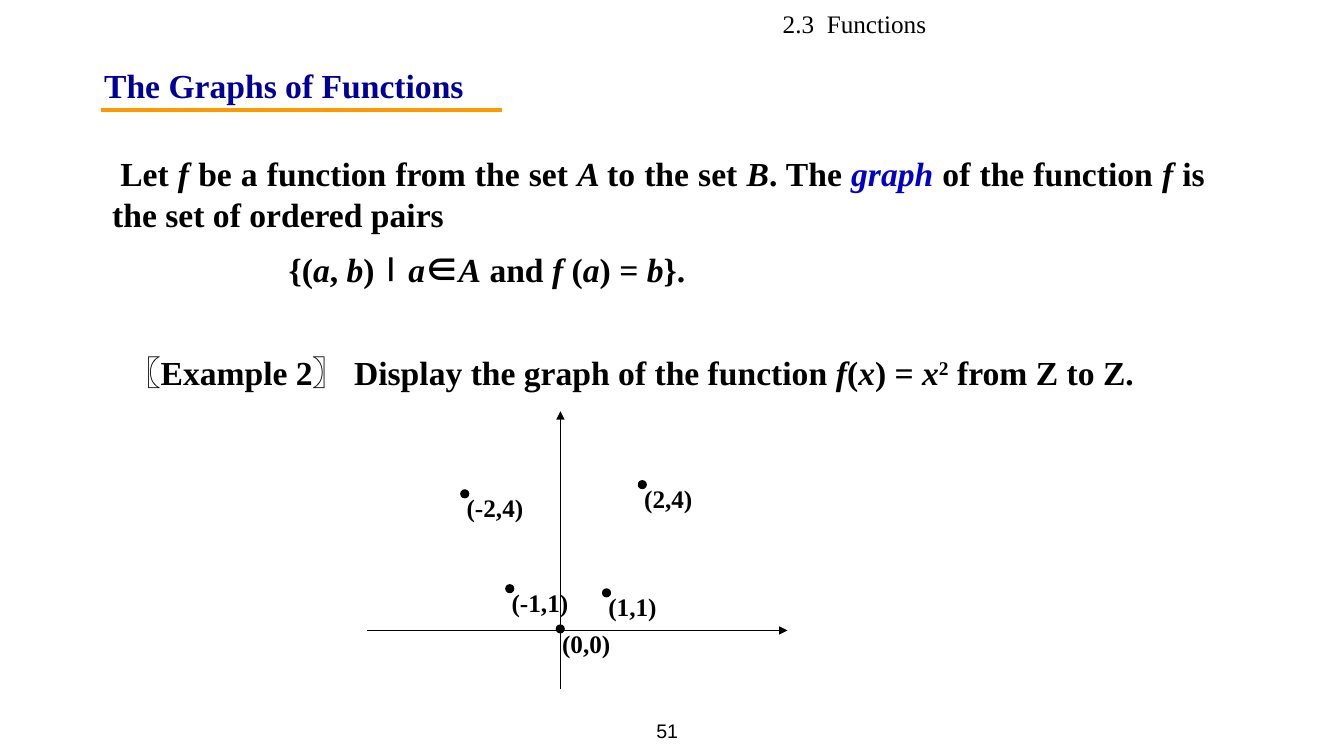
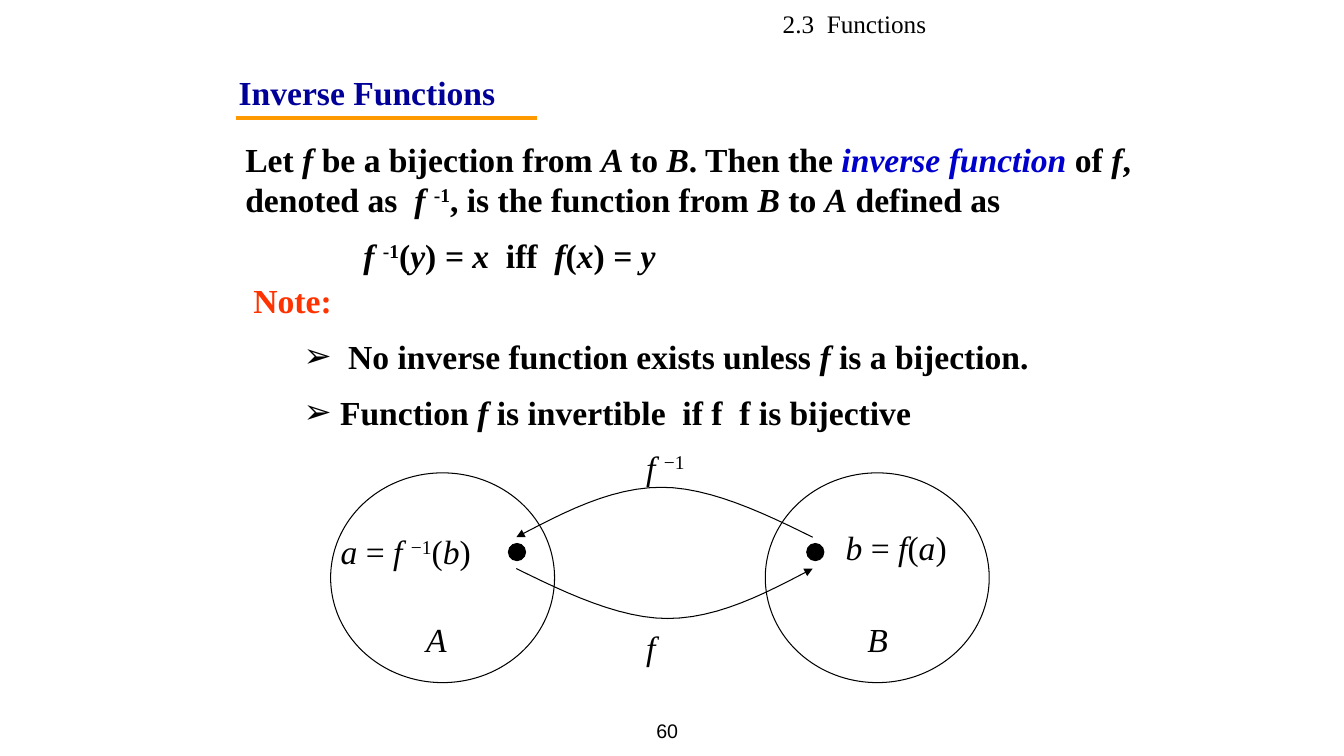
import itertools
from dataclasses import dataclass

import pptx
import pptx.dml.color
import pptx.enum.shapes
import pptx.enum.text
import pptx.oxml
import pptx.oxml.ns
import pptx.util
from lxml import etree

Inches, Pt = pptx.util.Inches, pptx.util.Pt
ALIGN = pptx.enum.text.PP_ALIGN
ANCHOR = pptx.enum.text.MSO_ANCHOR
qn = pptx.oxml.ns.qn

COLORS = {"title": "000099", "rule": "FF9900", "text": "000000",
          "term": "0000CC", "note": "FF3300"}
SERIF, SANS, CJK = "Times New Roman", "Arial", "Noto Sans CJK SC"
CJK_SIGNS = "∣∈〖〗"
ITALIC, SUPER, TERM = "*", "^", "#"
GAP = Pt(11)


@dataclass
class Box:
    x: int
    y: int
    w: int
    h: int

    def at(self, x, y):
        """Point at the given percentages of the box."""
        return int(self.x + self.w * x / 100), int(self.y + self.h * y / 100)

    def inner(self, x, y, w, h):
        """Box inside this one, in percent of its size."""
        return Box(*self.at(x, y), int(self.w * w / 100), int(self.h * h / 100))

    def bounds(self):
        return self.x, self.y, self.w, self.h


PAGE = Box(0, 0, Inches(13.33), Inches(7.5))


def rgb(name):
    return pptx.dml.color.RGBColor.from_string(COLORS[name])


def styled_chars(markup):
    """Yield each character with the set of marks that apply to it."""
    marks = frozenset()
    for ch in markup:
        if ch in (ITALIC, SUPER, TERM):
            marks ^= {ch}
        else:
            yield ch, marks | ({CJK} if ch in CJK_SIGNS else set())


def write(p, markup, size=24, color="text", bold=False, font=SERIF):
    """Fill a paragraph: *italic*, ^superscript^, #defined term#."""
    for marks, chars in itertools.groupby(styled_chars(markup), lambda c: c[1]):
        r = p.add_run()
        r.text = "".join(ch for ch, _ in chars)
        r.font.size = Pt(size)
        r.font.bold = bold
        r.font.italic = ITALIC in marks
        r.font.color.rgb = rgb("term" if TERM in marks else color)
        r.font.name = CJK if CJK in marks else font
        rpr = r._r.get_or_add_rPr()
        if SUPER in marks:
            rpr.set("baseline", "30000")
        if CJK in marks:
            etree.SubElement(rpr, qn("a:ea")).set("typeface", CJK)


def place(shape, box):
    shape.left, shape.top, shape.width, shape.height = box.bounds()
    tf = shape.text_frame
    tf.word_wrap = True
    tf.auto_size = pptx.enum.text.MSO_AUTO_SIZE.NONE
    tf.vertical_anchor = ANCHOR.TOP
    return tf


def label(s, box, markup, align=ALIGN.LEFT, **style):
    tf = place(s.shapes.add_textbox(*box.bounds()), box)
    tf.paragraphs[0].alignment = align
    write(tf.paragraphs[0], markup, **style)
    return tf


def outline(shape, filled=False):
    shape.shadow.inherit = False
    if filled:
        shape.fill.solid()
        shape.fill.fore_color.rgb = rgb("text")
    else:
        shape.fill.background()
    shape.line.color.rgb = rgb("text")
    shape.line.width = Pt(0.75)


def ellipse(s, box, filled=False):
    kind = pptx.enum.shapes.MSO_SHAPE.OVAL
    outline(s.shapes.add_shape(kind, *box.bounds()), filled)


def dot(s, point, size):
    ellipse(s, Box(*point, Inches(size), Inches(size)), filled=True)


def arrowhead(shape):
    ln = shape.line._get_or_add_ln()
    etree.SubElement(ln, qn("a:tailEnd")).set("type", "triangle")


def line(s, start, end, color="text", width=0.75):
    c = s.shapes.add_connector(pptx.enum.shapes.MSO_CONNECTOR.STRAIGHT,
                               *start, *end)
    c.line.color.rgb = rgb(color)
    c.line.width = Pt(width)
    etree.SubElement(c._element.spPr, qn("a:effectLst"))
    return c


def title(s, box, text, rule):
    """Title with an underline whose length is a percentage of the page."""
    tf = place(s.shapes.title, box)
    tf.paragraphs[0].alignment = ALIGN.LEFT
    write(tf.paragraphs[0], text, color="title", bold=True)
    x, y = box.x + Inches(0.07), box.y + box.h
    line(s, (x, y), (x + int(PAGE.w * rule / 100), y), "rule", 3)


def body(placeholder, box, paragraphs, align=ALIGN.JUSTIFY):
    """Paragraphs are (markup, left, first-line indent, bullet, colour)."""
    tf = place(placeholder, box)
    for i, (markup, left, first, bullet, color) in enumerate(paragraphs):
        p = tf.add_paragraph() if i else tf.paragraphs[0]
        p.alignment = align
        p.space_before = GAP if i else Pt(0)
        ppr = p._p.get_or_add_pPr()
        ppr.set("marL", str(Inches(left)))
        ppr.set("indent", str(Inches(first)))
        if bullet:
            etree.SubElement(ppr, qn("a:buChar")).set("char", bullet)
        else:
            etree.SubElement(ppr, qn("a:buNone"))
        write(p, markup, color=color, bold=True)


def plain(markup, first=0, color="text"):
    return markup, 0, first, None, color


def bulleted(markup, left):
    return markup, left, 0.5 - left, "➢", "text"


def new_slide(prs, number):
    s = prs.slides.add_slide(prs.slide_layouts.get_by_name("Two Content"))
    label(s, PAGE.inner(57.5, 0.5, 30, 5.3), "2.3  Functions", size=18)
    tf = label(s, PAGE.inner(44.5, 93.3, 6.7, 6.7), number, ALIGN.RIGHT,
               size=14, font=SANS)
    tf.vertical_anchor = ANCHOR.MIDDLE
    return s


def square_graph(s, box):
    for start, end in (((0, 79), (100, 79)), ((46, 100), (46, 0))):
        arrowhead(line(s, box.at(*start), box.at(*end)))
    points = {"(0,0)": (45, 77), "(1,1)": (56, 64), "(-1,1)": (33, 62.5),
              "(2,4)": (64.5, 25), "(-2,4)": (22.3, 28.3)}
    for text, position in points.items():
        x, y = box.at(*position)
        dot(s, (x, y), 0.08)
        label(s, Box(x - Inches(0.04), y - Inches(0.02), Inches(0.92),
                     Inches(0.4)), text, size=18, bold=True)


def bezier(p0, p1, p2, p3, steps=12):
    for i in range(1, steps + 1):
        t = i / steps
        u = 1 - t
        yield tuple(u**3 * a + 3 * u * u * t * b + 3 * u * t * t * c + t**3 * d
                    for a, b, c, d in zip(p0, p1, p2, p3))


def arc_arrow(s, box, x0, x1, y, rise):
    """Bowed arrow from x0 to x1 at height y, bulging by rise."""
    knots = [(0, 0), (0.17, 0.5), (0.35, 1), (0.51, 1),
             (0.68, 1), (0.84, 0.5), (1, 0)]
    profile = itertools.chain(bezier(*knots[:4]), bezier(*knots[3:]))
    points = [box.at(x0 + (x1 - x0) * u, y + rise * v) for u, v in profile]
    fb = s.shapes.build_freeform(*box.at(x0, y))
    fb.add_line_segments(points, close=False)
    curve = fb.convert_to_shape()
    outline(curve)
    arrowhead(curve)


def inverse_mapping(s, box):
    for circle_x, dot_x in ((0, 27), (66, 72.3)):
        ellipse(s, box.inner(circle_x, 13, 34, 87))
        dot(s, box.at(dot_x, 42.3), 0.17)
    arc_arrow(s, box, 28.2, 73.2, 52.7, 20.7)
    arc_arrow(s, box, 73.2, 28.2, 39.7, -20.7)
    labels = [("*f *^−1^", 46.4, 0), ("*f*", 46.4, 75),
              ("*a *= *f *^−1^(*b*)", 0, 35), ("*b *= *f*(*a*)", 76.7, 33.5),
              ("*A*", 13, 71.5), ("*B*", 80, 71.5)]
    for markup, x, y in labels:
        label(s, box.inner(x, y, 27, 21), markup)


def graphs_slide(prs):
    s = new_slide(prs, "51")
    title(s, PAGE.inner(7, 7.9, 32.4, 6.7), "The Graphs of Functions", 29.8)
    definition, example = list(s.placeholders)[1:]
    body(definition, PAGE.inner(7.6, 19.6, 82.8, 19.6), [
        plain("Let *f* be a function from the set *A *to the set *B*. The "
              "*#graph#* of the function *f* is the set of ordered pairs", 0.08),
        plain("{(*a*, *b*)∣*a*∈*A* and *f *(*a*) = *b*}.", 1.75)])
    body(example, PAGE.inner(8.1, 45.9, 81.7, 6.7), [
        plain("〖Example 2〗 Display the graph of the function "
              "*f*(*x*) = *x*^2^ from Z to Z.", 0.08)])
    square_graph(s, PAGE.inner(27.3, 54.4, 31.3, 36.7))


def inverse_slide(prs):
    s = new_slide(prs, "60")
    title(s, PAGE.inner(17, 8.9, 39.9, 6.7), "Inverse Functions", 22.4)
    definition, note = list(s.placeholders)[1:]
    body(definition, PAGE.inner(17.5, 17.7, 67.5, 19.6), [
        plain("Let *f* be a bijection from *A *to *B*. Then the "
              "*#inverse function #*of *f*, denoted as  *f *^-1^, is the "
              "function from *B* to *A* defined as"),
        plain("*f *^-1^(*y*)* = x  *iff * f*(*x*)* = y*", 1.17)], ALIGN.LEFT)
    body(note, PAGE.inner(18.1, 36.4, 59.4, 21.7), [
        plain("Note:", color="note"),
        bulleted("No inverse function exists unless *f* is a bijection.", 0.94),
        bulleted("Function *f* is invertible  if f  f is bijective", 0.86)])
    inverse_mapping(s, PAGE.inner(24.6, 58.4, 49, 31.9))


def main():
    prs = pptx.Presentation()
    prs.slide_width, prs.slide_height = PAGE.w, PAGE.h
    graphs_slide(prs)
    inverse_slide(prs)
    prs.save("out.pptx")


if __name__ == "__main__":
    main()
